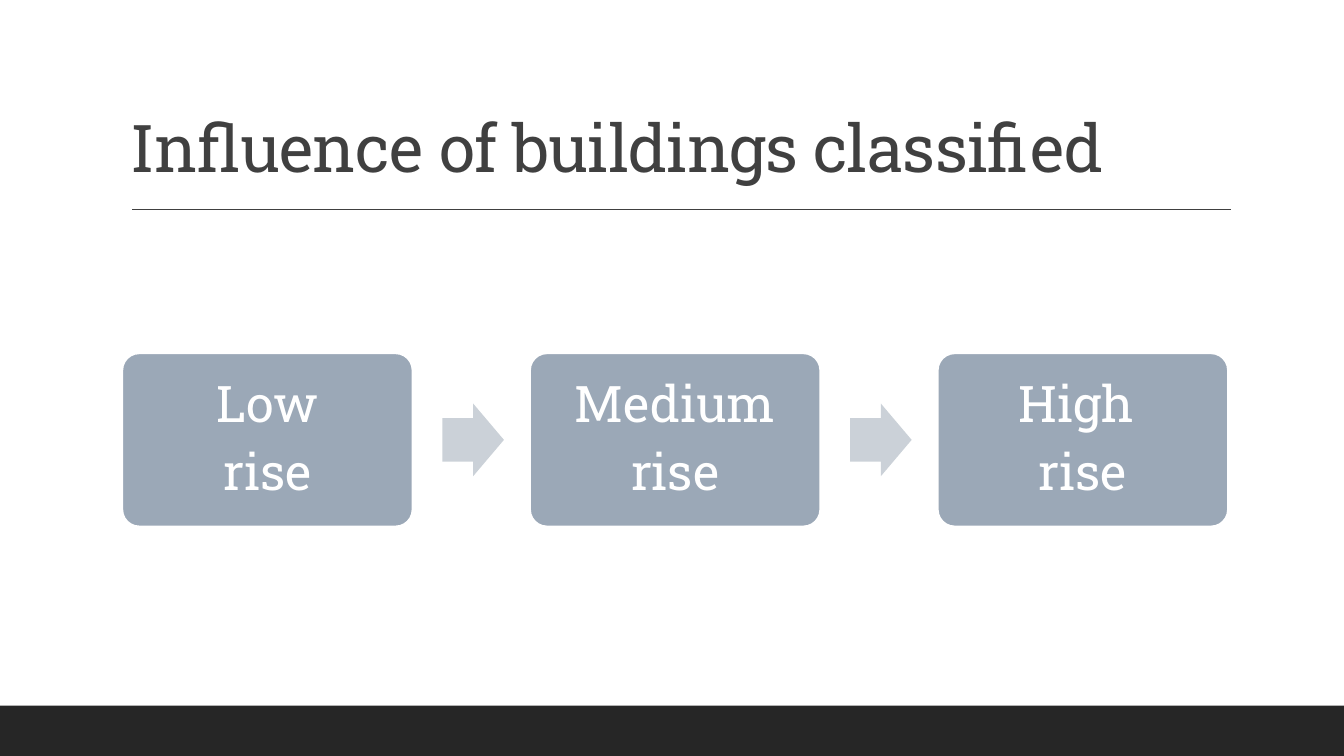
from dataclasses import dataclass

from lxml import etree
from pptx import Presentation
from pptx import util as u
from pptx.dml import color
from pptx.enum import shapes, text
from pptx.oxml import ns


@dataclass(frozen=True)
class Theme:
    font: str = "Roboto Slab"
    ink: str = "404040"
    band: str = "262626"
    box: str = "9BA8B7"
    arrow: str = "CBD1D8"
    white: str = "FFFFFF"
    title_size: int = 47
    box_size: int = 36


THEME = Theme()


def rgb(value):
    return color.RGBColor.from_string(value)


def set_font(p, size, ink):
    p.font.name = THEME.font
    p.font.size = u.Pt(size)
    p.font.color.rgb = rgb(ink)
    p.line_spacing = 0.9


def add_block(s, kind, left, top, width, height, fill):
    """Add a flat shape without outline; lengths in centimetres."""
    sp = s.shapes.add_shape(kind, u.Cm(left), u.Cm(top), u.Cm(width), u.Cm(height))
    sp.shadow.inherit = False
    sp.fill.solid()
    sp.fill.fore_color.rgb = rgb(fill)
    sp.line.fill.background()
    return sp


def add_footer(s, left, top, width, height):
    add_block(s, shapes.MSO_SHAPE.RECTANGLE, left, top, width, height, THEME.band)


def add_title(s, title, left, top, width, height):
    # Heading
    sp = s.shapes.add_textbox(u.Cm(left), u.Cm(top), u.Cm(width), u.Cm(height))
    tf = sp.text_frame
    tf.word_wrap = True
    tf.vertical_anchor = text.MSO_ANCHOR.BOTTOM
    p = tf.paragraphs[0]
    r = p.add_run()
    r.text = title
    set_font(p, THEME.title_size, THEME.ink)
    r.font._element.set("spc", "-50")

    # Rule below the heading
    y = u.Cm(top + height + 0.45)
    rule = s.shapes.add_connector(
        shapes.MSO_CONNECTOR.STRAIGHT, u.Cm(left + 0.28), y, u.Cm(left + width + 0.02), y)
    rule.line.color.rgb = rgb(THEME.ink)
    rule.line.width = u.Pt(1)
    etree.SubElement(rule._element.spPr, ns.qn("a:effectLst"))


def add_step(s, lines, left, top, width, height):
    sp = add_block(s, shapes.MSO_SHAPE.ROUNDED_RECTANGLE, left, top, width, height, THEME.box)
    sp.adjustments[0] = 0.1
    sp.line.color.rgb = rgb(THEME.white)
    sp.line.width = u.Pt(2)
    tf = sp.text_frame
    tf.word_wrap = True
    tf.vertical_anchor = text.MSO_ANCHOR.MIDDLE
    tf.margin_left = tf.margin_right = tf.margin_top = tf.margin_bottom = u.Cm(0.4)
    for i, line in enumerate(lines):
        p = tf.add_paragraph() if i else tf.paragraphs[0]
        p.text = line
        p.alignment = text.PP_ALIGN.CENTER
        p.space_after = u.Pt(9.5)
        set_font(p, THEME.box_size, THEME.white)


def add_process(s, steps, left, top, width, height):
    """Spread the steps over the width, with an arrow in each gap."""
    box_w, arrow_w, arrow_h = 7.34, 1.55, 1.83
    pitch = (width - box_w) / (len(steps) - 1)
    for i, lines in enumerate(steps):
        x = left + i * pitch
        add_step(s, lines, x, top, box_w, height)
        if i < len(steps) - 1:
            arrow = add_block(s, shapes.MSO_SHAPE.RIGHT_ARROW, x + box_w + 0.74,
                              top + (height - arrow_h) / 2, arrow_w, arrow_h, THEME.arrow)
            arrow.adjustments[0] = 0.6
            arrow.adjustments[1] = 0.5


def main():
    prs = Presentation()
    prs.slide_width, prs.slide_height = u.Cm(33.87), u.Cm(19.05)
    s = prs.slides.add_slide(prs.slide_layouts[6])
    add_footer(s, 0, 17.78, 33.87, 1.27)
    add_title(s, "Influence of buildings classified", 3.05, 0.79, 27.94, 4.04)
    steps = [("Low", "rise"), ("Medium", "rise"), ("High ", "rise")]
    add_process(s, steps, 3.07, 8.89, 27.89, 4.39)
    prs.save("out.pptx")


if __name__ == "__main__":
    main()
